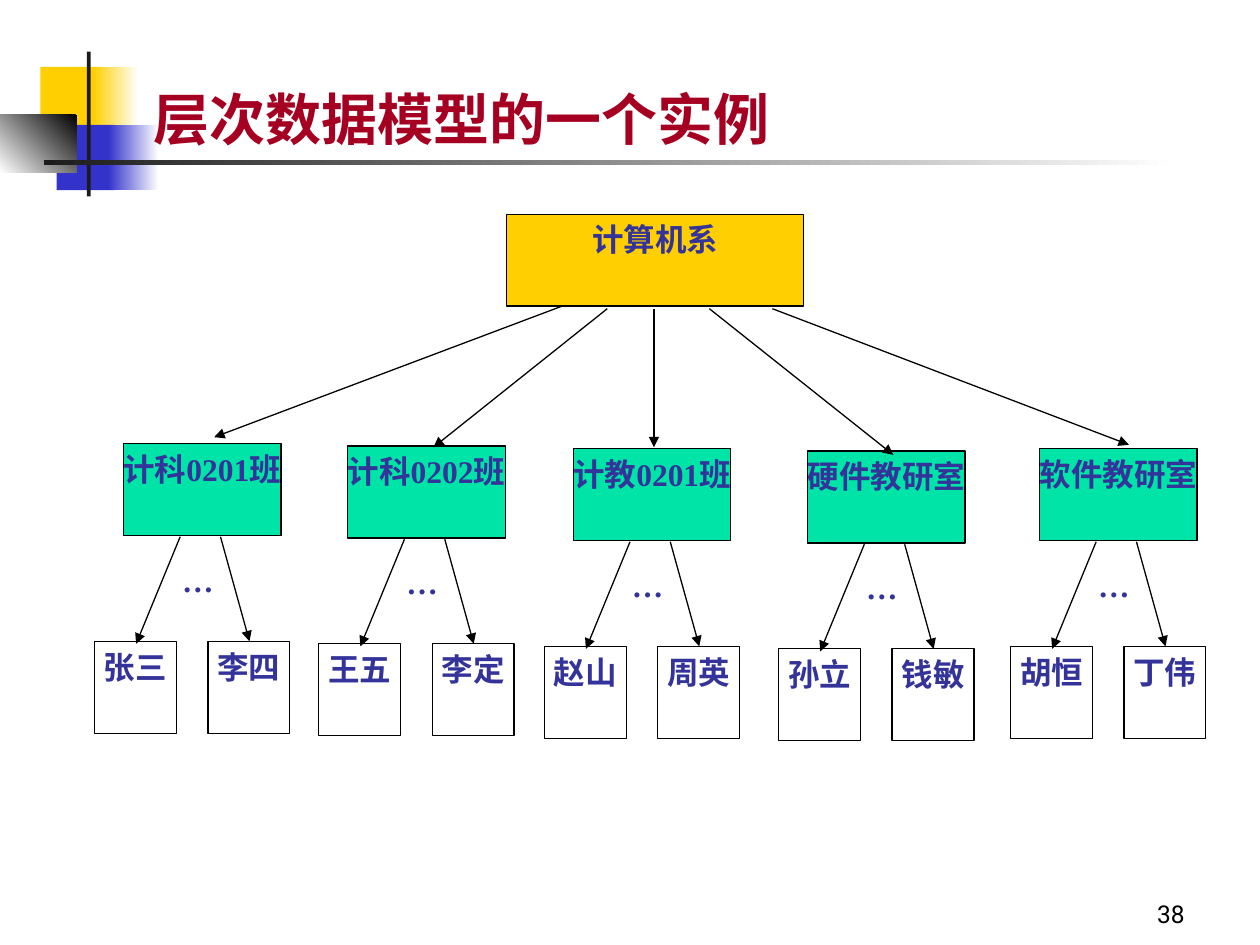
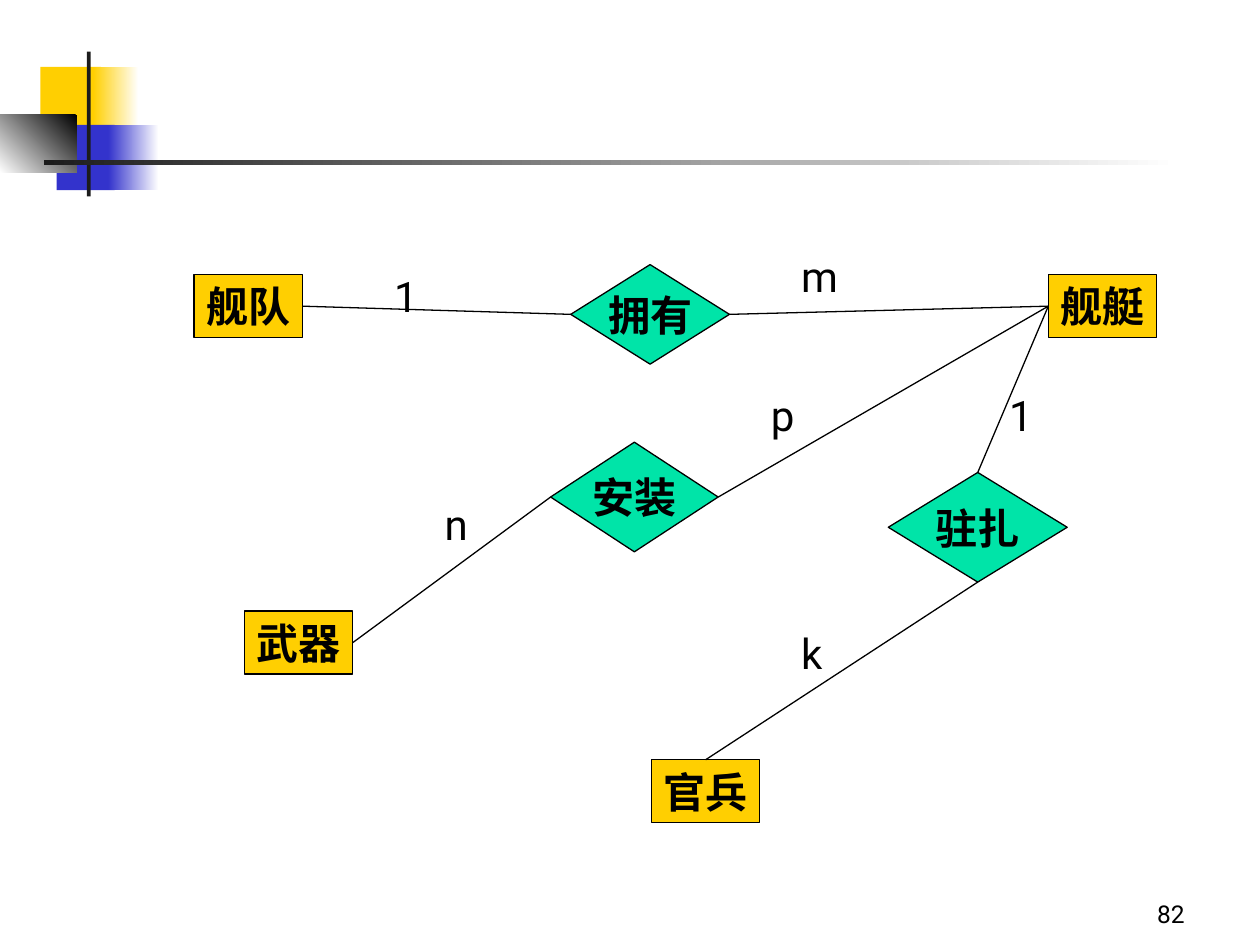
from dataclasses import dataclass

from lxml import etree
from pptx import Presentation
from pptx.dml.color import RGBColor
from pptx.enum.shapes import MSO_CONNECTOR as Conn, MSO_SHAPE as Kind
from pptx.enum.text import MSO_ANCHOR as Anchor, PP_ALIGN as Align
from pptx.oxml.ns import qn
from pptx.util import Inches, Pt

# Shared colours and fonts
GOLD, BLUE, GREEN, NAVY = "FFCF01", "3333CC", "00E4A8", "333399"
BLACK, WHITE, DARK, RED = "000000", "FFFFFF", "1C1C1C", "A50021"
SANS, SERIF = "Roboto", "Times New Roman"

Point = tuple[float, float]


@dataclass(frozen=True)
class Box:
    left: float
    top: float
    width: float
    height: float

    def side(self, name: str) -> Point:
        """Middle of one side: l, r, t or b."""
        x, y = {"l": (0, 0.5), "r": (1, 0.5), "t": (0.5, 0), "b": (0.5, 1)}[name]
        return self.left + x * self.width, self.top + y * self.height

    def emu(self) -> list[int]:
        return [Inches(n) for n in (self.left, self.top, self.width, self.height)]


@dataclass(frozen=True)
class Style:
    size: int
    font: str = SANS
    color: str = BLACK
    bold: bool = False
    align: Align = Align.LEFT
    anchor: Anchor = Anchor.TOP
    pad: float = 0.1
    wrap: bool = True


@dataclass(frozen=True)
class Band:
    box: Box
    color: str
    end: str = ""
    angle: int = 180


@dataclass(frozen=True)
class Branch:
    name: str
    left: float
    top: float
    kids: tuple[str, str]
    start: Point
    tip: Point


@dataclass(frozen=True)
class Node:
    name: str
    box: Box
    kind: Kind = Kind.RECTANGLE


TITLE = Style(32, color=RED, bold=True, anchor=Anchor.BOTTOM)
NUMBER = Style(14, align=Align.RIGHT, anchor=Anchor.BOTTOM)
ROOT = Style(18, SERIF, NAVY, True, Align.CENTER)
TREE = Style(18, SERIF, NAVY, True, Align.CENTER, pad=0)
NODE = Style(24, bold=True, align=Align.CENTER, anchor=Anchor.MIDDLE, wrap=False)
LABEL = Style(24)

BANDS = [
    Band(Box(0.32, 0.53, 0.48, 0.52), GOLD),
    Band(Box(0.74, 0.53, 0.36, 0.52), WHITE, GOLD),
    Band(Box(0.45, 0.99, 0.46, 0.52), BLUE),
    Band(Box(0.86, 0.99, 0.4, 0.52), WHITE, BLUE),
    Band(Box(0, 0.91, 0.61, 0.46), BLACK, WHITE, 225),
    Band(Box(0.69, 0.41, 0.03, 1.15), DARK),
    Band(Box(0.35, 1.27, 9, 0.04), WHITE, DARK),
]

# Position of each pair of leaves, and the arrow from the root
BRANCHES = [
    Branch("计科0201班", 0.75, 5.09, ("张三", "李四"), (4.46, 2.43), (1.7, 3.47)),
    Branch("计科0202班", 2.53, 5.11, ("王五", "李定"), (4.82, 2.45), (3.44, 3.55)),
    Branch("计教0201班", 4.32, 5.13, ("赵山", "周英"), (5.19, 2.45), (5.19, 3.55)),
    Branch("硬件教研室", 6.18, 5.15, ("孙立", "钱敏"), (5.63, 2.45), (7.09, 3.61)),
    Branch("软件教研室", 8.02, 5.13, ("胡恒", "丁伟"), (6.13, 2.45), (8.96, 3.53)),
]

NODES = [
    Node("舰队", Box(1.54, 2.18, 0.86, 0.5)),
    Node("舰艇", Box(8.32, 2.18, 0.86, 0.5)),
    Node("武器", Box(1.94, 4.85, 0.86, 0.5)),
    Node("官兵", Box(5.17, 6.03, 0.86, 0.5)),
    Node("拥有", Box(4.53, 2.1, 1.26, 0.79), Kind.DIAMOND),
    Node("安装", Box(4.37, 3.51, 1.33, 0.87), Kind.DIAMOND),
    Node("驻扎", Box(7.05, 3.75, 1.42, 0.87), Kind.DIAMOND),
]

# Node and side at each end
LINKS = [
    ("舰队", "r", "拥有", "l"),
    ("拥有", "r", "舰艇", "l"),
    ("舰艇", "l", "安装", "r"),
    ("安装", "l", "武器", "r"),
    ("舰艇", "l", "驻扎", "t"),
    ("驻扎", "b", "官兵", "t"),
]

LABELS = [
    ("1", 3.03, 2.1), ("m", 6.26, 1.94), ("p", 6.02, 3.04),
    ("1", 7.91, 3.04), ("n", 3.43, 3.91), ("k", 6.26, 4.93),
]


def rgb(code: str) -> RGBColor:
    return RGBColor.from_string(code)


def write(shape, text: str, style: Style) -> None:
    frame = shape.text_frame
    frame.word_wrap = style.wrap
    frame.vertical_anchor = style.anchor
    frame.margin_left = frame.margin_right = Inches(style.pad)
    frame.margin_top = frame.margin_bottom = Inches(0.05)
    para = frame.paragraphs[0]
    para.text = text
    para.alignment = style.align
    font = para.font
    font.name, font.size, font.bold = style.font, Pt(style.size), style.bold
    font.color.rgb = rgb(style.color)


def label(slide, box: Box, text: str, style: Style) -> None:
    write(slide.shapes.add_textbox(*box.emu()), text, style)


def block(slide, box: Box, color: str, kind: Kind = Kind.RECTANGLE):
    shape = slide.shapes.add_shape(kind, *box.emu())
    shape.shadow.inherit = False
    shape.fill.solid()
    shape.fill.fore_color.rgb = rgb(color)
    shape.line.fill.background()
    return shape


def cell(slide, box: Box, color: str, text: str, style: Style,
         kind: Kind = Kind.RECTANGLE) -> None:
    shape = block(slide, box, color, kind)
    shape.line.color.rgb = rgb(BLACK)
    shape.line.width = Pt(0.75)
    write(shape, text, style)


def link(slide, start: Point, end: Point, arrow: bool = False) -> None:
    line = slide.shapes.add_connector(
        Conn.STRAIGHT, *[Inches(n) for n in (*start, *end)])
    line.line.color.rgb = rgb(BLACK)
    line.line.width = Pt(0.75)
    props = line._element.spPr
    if arrow:
        etree.SubElement(props.find(qn("a:ln")), qn("a:tailEnd"), type="triangle")
    etree.SubElement(props, qn("a:effectLst"))


def page(deck, number: int):
    """New slide with the corner bands and the page number."""
    slide = deck.slides.add_slide(deck.slide_layouts[6])
    for band in BANDS:
        shape = block(slide, band.box, band.color)
        if band.end:
            shape.fill.gradient()
            shape.fill.gradient_angle = band.angle
            for stop, color in zip(shape.fill.gradient_stops, (band.color, band.end)):
                stop.color.rgb = rgb(color)
    label(slide, Box(7.42, 6.92, 2.08, 0.5), str(number), NUMBER)
    return slide


def grow(slide, branch: Branch) -> None:
    """One branch: its box, two leaves and the arrows."""
    x, y = branch.left, branch.top
    cell(slide, Box(x + 0.23, y - 1.57, 1.25, 0.73), GREEN, branch.name, TREE)
    for i, kid in enumerate(branch.kids):
        cell(slide, Box(x + 0.9 * i, y, 0.65, 0.73), WHITE, kid, TREE)
    link(slide, (x + 0.68, y - 0.83), (x + 0.33, y + 0.02), True)
    link(slide, (x + 1, y - 0.83), (x + 1.23, y), True)
    label(slide, Box(x + 0.6, y - 0.69, 0.44, 0.51), "…", TREE)
    link(slide, branch.start, branch.tip, True)


def tree(deck) -> None:
    slide = page(deck, 38)
    label(slide, Box(1.12, 0, 8.52, 1.25), "层次数据模型的一个实例", TITLE)
    cell(slide, Box(4.02, 1.7, 2.36, 0.73), GOLD, "计算机系", ROOT)
    for branch in BRANCHES:
        grow(slide, branch)


def fleet(deck) -> None:
    slide = page(deck, 82)
    for node in NODES:
        color = GREEN if node.kind == Kind.DIAMOND else GOLD
        cell(slide, node.box, color, node.name, NODE, node.kind)
    boxes = {node.name: node.box for node in NODES}
    for first, out, last, into in LINKS:
        link(slide, boxes[first].side(out), boxes[last].side(into))
    for text, left, top in LABELS:
        label(slide, Box(left, top, 0.48, 0.5), text, LABEL)


def main() -> None:
    deck = Presentation()
    deck.slide_width, deck.slide_height = Inches(10), Inches(7.5)
    tree(deck)
    fleet(deck)
    deck.save("out.pptx")


if __name__ == "__main__":
    main()
